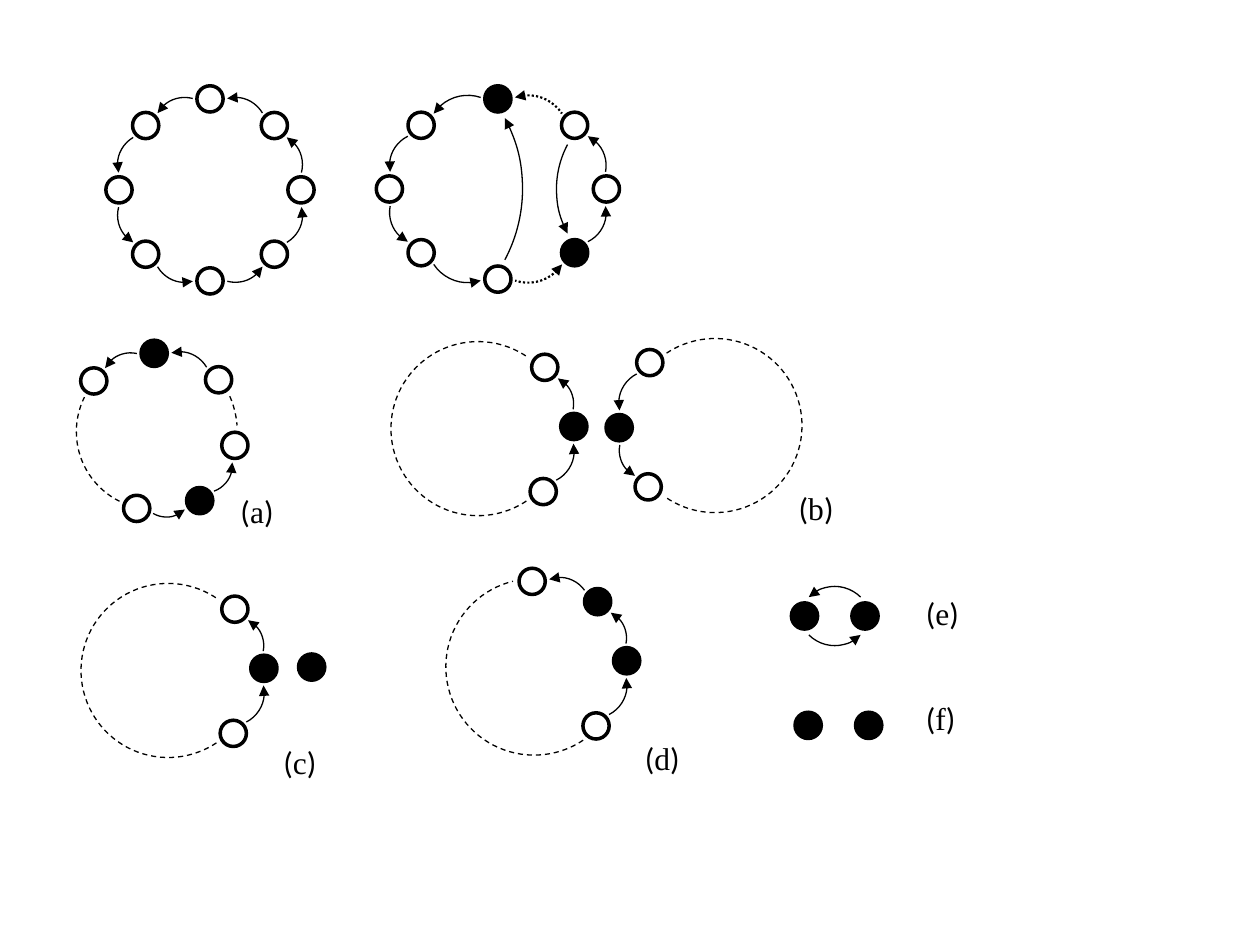
"""Builds the slide of cyclic graphs and their split cases (a) to (f)."""
from dataclasses import dataclass
from itertools import pairwise
from math import atan2, cos, degrees, hypot, pi, radians, sin

from lxml.etree import SubElement
from pptx import Presentation
from pptx.dml.color import RGBColor
from pptx.enum.dml import MSO_LINE
from pptx.enum.shapes import MSO_SHAPE
from pptx.enum.text import MSO_AUTO_SIZE
from pptx.oxml.ns import qn
from pptx.util import Pt


@dataclass(frozen=True)
class Theme:
    """Colours, fonts, type size and line widths."""
    ink: RGBColor = RGBColor(0, 0, 0)
    paper: RGBColor = RGBColor(255, 255, 255)
    bracket_font: str = "Calibri"
    letter_font: str = "Times New Roman"
    label_size: int = 18
    node_line: float = 2
    edge_line: float = 0.75
    dotted_line: float = 1.25


@dataclass(frozen=True)
class Bend:
    """How an edge curves: sweep in degrees, end gap, outward offset, dash."""
    sweep: float = 75
    gap: float = 9
    offset: float = 4
    dash: object = None


THEME = Theme()
NODE_SIZE = 15
LABEL_HEIGHT = 28.8
PAIR_GAP = 34.6
STEP = Bend()
REMOVED = Bend(dash=MSO_LINE.ROUND_DOT)
SHORTCUT = Bend(sweep=56, gap=11)
SWAP = Bend(sweep=90, gap=2.5, offset=10.8)
RIM = Bend(sweep=249, gap=-5.5, offset=9.5, dash=MSO_LINE.DASH)
HALF_RIM = Bend(sweep=200, gap=-4.5, offset=10, dash=MSO_LINE.DASH)
LEFT_RIM = Bend(sweep=90, gap=7, offset=8, dash=MSO_LINE.DASH)
RIGHT_RIM = Bend(sweep=19, gap=10.7, offset=4, dash=MSO_LINE.DASH)


def add_outline(slide, preset, centre, size, line_width):
    """Add a shadowless square preset shape around a centre."""
    left, top = (place - size / 2 for place in centre)
    outline = slide.shapes.add_shape(preset, Pt(left), Pt(top), Pt(size), Pt(size))
    outline.shadow.inherit = False
    outline.line.color.rgb = THEME.ink
    outline.line.width = Pt(line_width)
    return outline


def add_nodes(slide, centres, filled=()):
    """Add round nodes; those whose index is in filled are solid."""
    for index, centre in enumerate(centres):
        node = add_outline(slide, MSO_SHAPE.OVAL, centre, NODE_SIZE, THEME.node_line)
        node.fill.solid()
        node.fill.fore_color.rgb = THEME.ink if index in filled else THEME.paper


def add_edge(slide, tail, head, bend=STEP):
    """Add an arc bulging to the right of its way from tail to head."""
    across, down = head[0] - tail[0], head[1] - tail[1]
    distance = hypot(across, down)
    outward = (-down / distance, across / distance)
    half = radians(bend.sweep / 2)
    radius = (distance - 2 * bend.gap) / (2 * sin(half))
    shift = bend.offset - radius * cos(half)
    centre = [(start + end) / 2 + shift * side
              for start, end, side in zip(tail, head, outward)]
    dotted = bend.dash == MSO_LINE.ROUND_DOT
    arc = add_outline(slide, MSO_SHAPE.ARC, centre, 2 * radius,
                      THEME.dotted_line if dotted else THEME.edge_line)
    arc.fill.background()
    arc.adjustments[0] = (360 - bend.sweep) * 0.6
    arc.adjustments[1] = 0
    arc.rotation = (degrees(atan2(outward[1], outward[0])) + bend.sweep / 2) % 360
    if bend.dash is not None:
        arc.line.dash_style = bend.dash
    if bend.dash != MSO_LINE.DASH:
        SubElement(arc.element.spPr.find(qn("a:ln")), qn("a:headEnd"), type="triangle")


def add_label(slide, letter, left, top, width):
    """Add a bracketed letter."""
    label = slide.shapes.add_textbox(Pt(left), Pt(top), Pt(width), Pt(LABEL_HEIGHT))
    label.text_frame.word_wrap = True
    label.text_frame.auto_size = MSO_AUTO_SIZE.SHAPE_TO_FIT_TEXT
    for text, font in (("(", THEME.bracket_font), (letter, THEME.letter_font),
                       (")", THEME.bracket_font)):
        run = label.text_frame.paragraphs[0].add_run()
        run.text = text
        run.font.name = font
        run.font.size = Pt(THEME.label_size)
        run.font.color.rgb = THEME.ink


def ring(x, y, width, height):
    """Return eight centres on an ellipse, counterclockwise from the top."""
    angles = [pi / 2 + turn * pi / 4 for turn in range(8)]
    return [(x + width / 2 * cos(angle), y - height / 2 * sin(angle))
            for angle in angles]


def add_full_cycles(slide):
    """Add the whole cycle and the cycle with two edges replaced."""
    cycle = ring(120, 108.5, 104, 104)
    add_nodes(slide, cycle)
    for tail, head in pairwise(cycle + cycle[:1]):
        add_edge(slide, tail, head)
    split = ring(284.5, 108, 124, 103)
    add_nodes(slide, split, filled=(0, 5))
    for index, tail in enumerate(split):
        add_edge(slide, tail, split[(index + 1) % 8],
                 REMOVED if index in (4, 7) else STEP)
    add_edge(slide, split[4], split[0], SHORTCUT)
    add_edge(slide, split[7], split[5], SHORTCUT)


def add_separate_case(slide):
    """Add case (a), with the two solid nodes apart on one cycle."""
    cycle = [(88.1, 201.9), (53.6, 217.7), (78.1, 290.5),
             (114.1, 286.1), (134.2, 254.5), (124.9, 217)]
    bends = (STEP, LEFT_RIM, STEP, STEP, RIGHT_RIM, STEP)
    add_nodes(slide, cycle, filled=(0, 3))
    for (tail, head), bend in zip(pairwise(cycle + cycle[:1]), bends):
        add_edge(slide, tail, head, bend)


def add_triad(slide, x, y, side=1, filled=(1,)):
    """Add three linked nodes around a middle one and return their centres."""
    triad = [(x - 17.5 * side, y + 37.2 * side), (x, y),
             (x - 16.6 * side, y - 33.8 * side)]
    add_nodes(slide, triad, filled)
    for tail, head in pairwise(triad):
        add_edge(slide, tail, head)
    return triad


def add_triad_cases(slide):
    """Add cases (b), (c) and (d)."""
    for x, y, side in ((327.9, 243.7, 1), (353.8, 244.4, -1), (150.8, 381.9, 1)):
        first, _, last = add_triad(slide, x, y, side)
        add_edge(slide, last, first, RIM)
    add_nodes(slide, [(178.1, 381.2)], filled=(0,))
    first, _, last = add_triad(slide, 358.1, 377.6, filled=(1, 2))
    summit = (304.1, 332.2)
    add_nodes(slide, [summit])
    add_edge(slide, last, summit)
    add_edge(slide, summit, first, HALF_RIM)


def add_pair_cases(slide):
    """Add cases (e) and (f)."""
    linked, loose = ([(x, y), (x + PAIR_GAP, y)]
                     for x, y in ((459.7, 352), (461.8, 414.5)))
    for pair in (linked, loose):
        add_nodes(slide, pair, filled=(0, 1))
    for tail, head in (linked, linked[::-1]):
        add_edge(slide, tail, head, SWAP)


def main():
    """Build and save the slide."""
    deck = Presentation()
    deck.slide_width, deck.slide_height = Pt(720), Pt(540)
    slide = deck.slides.add_slide(deck.slide_layouts[6])
    add_full_cycles(slide)
    add_separate_case(slide)
    add_triad_cases(slide)
    add_pair_cases(slide)
    for letter, left, top, width in (
            ("a", 130.3, 277.9, 46), ("b", 449.3, 275.8, 54),
            ("c", 154.8, 421.2, 37.4), ("d", 361.4, 419, 40.3),
            ("e", 522, 336.2, 36), ("f", 522, 396, 36)):
        add_label(slide, letter, left, top, width)
    deck.save("out.pptx")


main()
